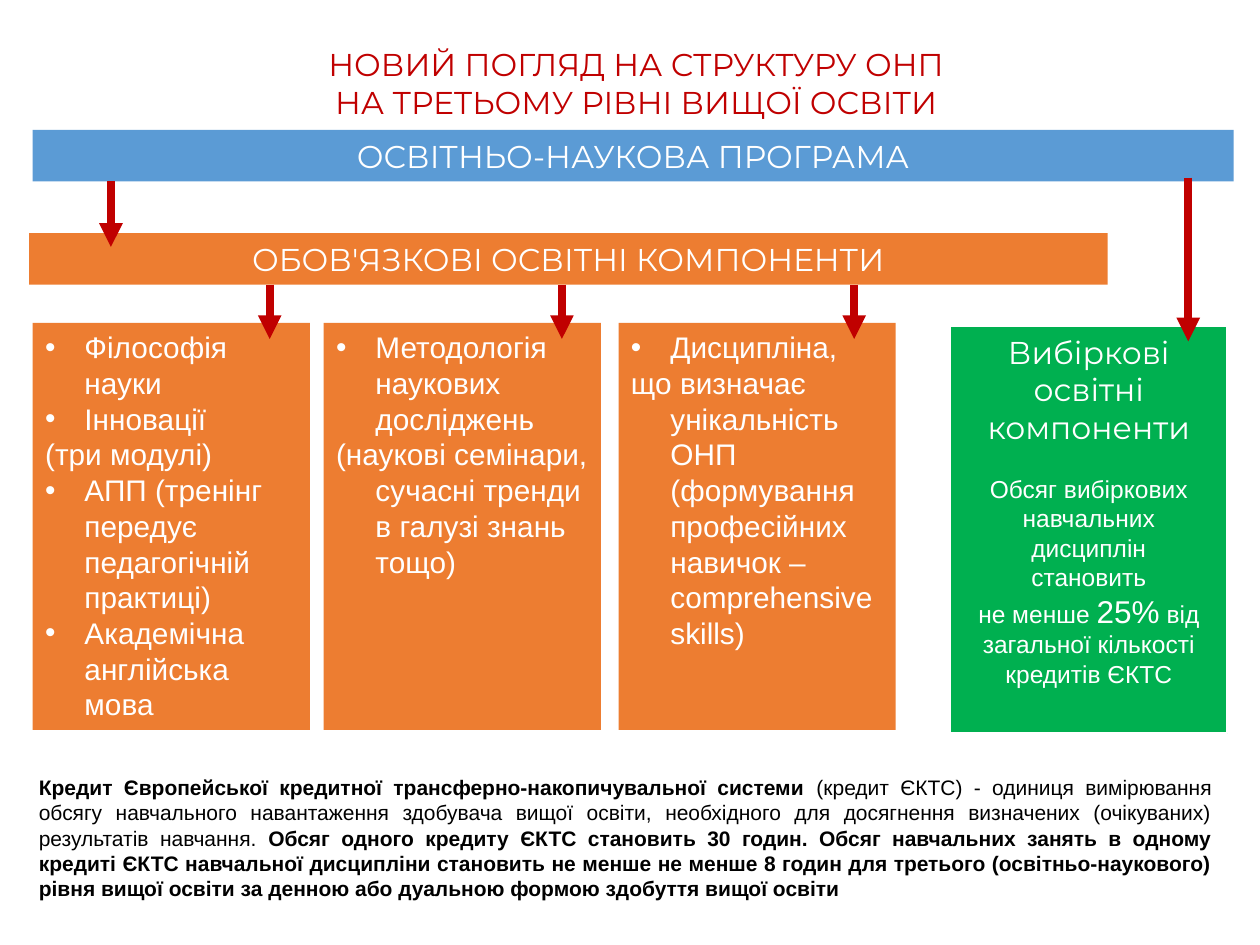
import pptx
import pptx.util
import pptx.dml.color
import pptx.enum.shapes
import pptx.enum.text
import pptx.oxml
import pptx.oxml.ns

Pt = pptx.util.Pt
ALIGN = pptx.enum.text.PP_ALIGN
ANCHOR = pptx.enum.text.MSO_ANCHOR
RED, BLUE, ORANGE, GREEN, WHITE, BLACK = "C00000", "5B9BD5", "ED7D31", "00B050", "FFFFFF", "000000"
HEAD_FONT, BODY_FONT = "Montserrat", "Arial"

TITLE = ["НОВИЙ ПОГЛЯД НА СТРУКТУРУ ОНП", "НА ТРЕТЬОМУ РІВНІ ВИЩОЇ ОСВІТИ"]
BANNERS = [
    ("ОСВІТНЬО-НАУКОВА ПРОГРАМА", BLUE, (18.7, 74.2, 686.2, 29.5)),
    ("ОБОВ'ЯЗКОВІ ОСВІТНІ КОМПОНЕНТИ", ORANGE, (16.6, 133.2, 616.3, 29.5)),
]
COLUMNS = [
    (18.7, [
        ("Філософія науки", True),
        ("Інновації", True),
        ("(три модулі)", False),
        ("АПП (тренінг передує педагогічній практиці)", True),
        ("Академічна англійська мова", True),
    ]),
    (185, [
        ("Методологія наукових досліджень", True),
        ("(наукові семінари, сучасні тренди в галузі знань тощо)", False),
    ]),
    (353.5, [
        ("Дисципліна,", True),
        ("що визначає унікальність ОНП (формування професійних навичок – comprehensive skills)", False),
    ]),
]
COLUMN_TOP, COLUMN_W, COLUMN_H = 184.5, 158.4, 232.6
ELECTIVE_TITLE = "Вибіркові освітні компоненти"
ELECTIVE = [
    [("Обсяг вибіркових", 14)],
    [("навчальних дисциплін", 14)],
    [("становить", 14)],
    [("не менше ", 14), ("25%", 18), (" від загальної кількості кредитів ЄКТС", 14)],
]
CREDIT = [
    ("Кредит Європейської кредитної трансферно-накопичувальної системи ", True),
    ("(кредит ЄКТС) - одиниця вимірювання обсягу навчального навантаження здобувача вищої освіти, "
     "необхідного для досягнення визначених (очікуваних) результатів навчання. ", False),
    ("Обсяг одного кредиту ЄКТС становить 30 годин. Обсяг навчальних занять в одному кредиті ЄКТС "
     "навчальної дисципліни становить не менше не менше 8 годин для третього (освітньо-наукового) "
     "рівня вищої освіти за денною або дуальною формою здобуття вищої освіти", True),
]
ARROWS = [(63.4, 103.7, 141.1), (679, 101.5, 195.1)]
ARROWS += [(154.1 + 167 * i, 162.7, 193.7) for i in range(3)]


def rgb(color):
    return pptx.dml.color.RGBColor.from_string(color)


def add_run(p, text, size=18, font=HEAD_FONT, color=WHITE, bold=False):
    r = p.add_run()
    r.text = text
    r.font.size = Pt(size)
    r.font.name = font
    r.font.bold = bold
    r.font.color.rgb = rgb(color)


def new_paragraph(tf, align, first):
    p = tf.paragraphs[0] if first else tf.add_paragraph()
    p.alignment = align
    return p


def hang(p, bullet):
    pPr = p._p.get_or_add_pPr()
    pPr.set("marL", str(Pt(22.5)))
    pPr.set("indent", str(-Pt(22.5)))
    if bullet:
        ns = pptx.oxml.ns.nsdecls("a")
        for xml in (f'<a:buClr {ns}><a:srgbClr val="{WHITE}"/></a:buClr>',
                    f'<a:buFont {ns} typeface="{BODY_FONT}"/>',
                    f'<a:buChar {ns} char="•"/>'):
            pPr.append(pptx.oxml.parse_xml(xml))


def add_box(s, at, fill, anchor=ANCHOR.TOP, line=None):
    sp = s.shapes.add_shape(pptx.enum.shapes.MSO_SHAPE.RECTANGLE, *map(Pt, at))
    sp.shadow.inherit = False
    sp.fill.solid()
    sp.fill.fore_color.rgb = rgb(fill)
    if line:
        sp.line.color.rgb = rgb(line)
        sp.line.width = Pt(1)
    else:
        sp.line.fill.background()
    tf = sp.text_frame
    tf.word_wrap = True
    tf.vertical_anchor = anchor
    return tf


def add_arrow(s, x, top, bottom):
    cn = s.shapes.add_connector(pptx.enum.shapes.MSO_CONNECTOR.STRAIGHT, Pt(x), Pt(top), Pt(x), Pt(bottom))
    cn.line.color.rgb = rgb(RED)
    cn.line.width = Pt(4.5)
    ns = pptx.oxml.ns.nsdecls("a")
    cn.line._get_or_add_ln().append(pptx.oxml.parse_xml(f'<a:tailEnd {ns} type="triangle"/>'))
    cn._element.spPr.append(pptx.oxml.parse_xml(f"<a:effectLst {ns}/>"))


def main():
    prs = pptx.Presentation()
    prs.slide_width, prs.slide_height = Pt(720), Pt(540)
    s = prs.slides.add_slide(prs.slide_layouts[6])

    tf = s.shapes.add_textbox(Pt(23), Pt(22.3), Pt(681.1), Pt(50.4)).text_frame
    tf.word_wrap = True
    for i, text in enumerate(TITLE):
        add_run(new_paragraph(tf, ALIGN.CENTER, i == 0), text, color=RED)

    for text, fill, at in BANNERS:
        tf = add_box(s, at, fill, ANCHOR.MIDDLE)
        add_run(new_paragraph(tf, ALIGN.CENTER, True), text)

    for left, items in COLUMNS:
        tf = add_box(s, (left, COLUMN_TOP, COLUMN_W, COLUMN_H), ORANGE)
        for i, (text, bullet) in enumerate(items):
            p = new_paragraph(tf, ALIGN.LEFT, i == 0)
            hang(p, bullet)
            add_run(p, text, size=17, font=BODY_FONT)

    tf = add_box(s, (543, 186.5, COLUMN_W, COLUMN_H), GREEN, line=WHITE)
    add_run(new_paragraph(tf, ALIGN.CENTER, True), ELECTIVE_TITLE)
    for i, runs in enumerate(ELECTIVE):
        p = new_paragraph(tf, ALIGN.CENTER, False)
        if i == 0:
            p.space_before = Pt(16)
        for text, size in runs:
            add_run(p, text, size=size, font=BODY_FONT)

    for arrow in ARROWS:
        add_arrow(s, *arrow)

    tf = add_box(s, (15.1, 439.2, 684.7, 79.2), WHITE)
    p = new_paragraph(tf, ALIGN.JUSTIFY, True)
    for text, bold in CREDIT:
        add_run(p, text, size=12, font=BODY_FONT, color=BLACK, bold=bold)

    prs.save("out.pptx")


if __name__ == "__main__":
    main()
